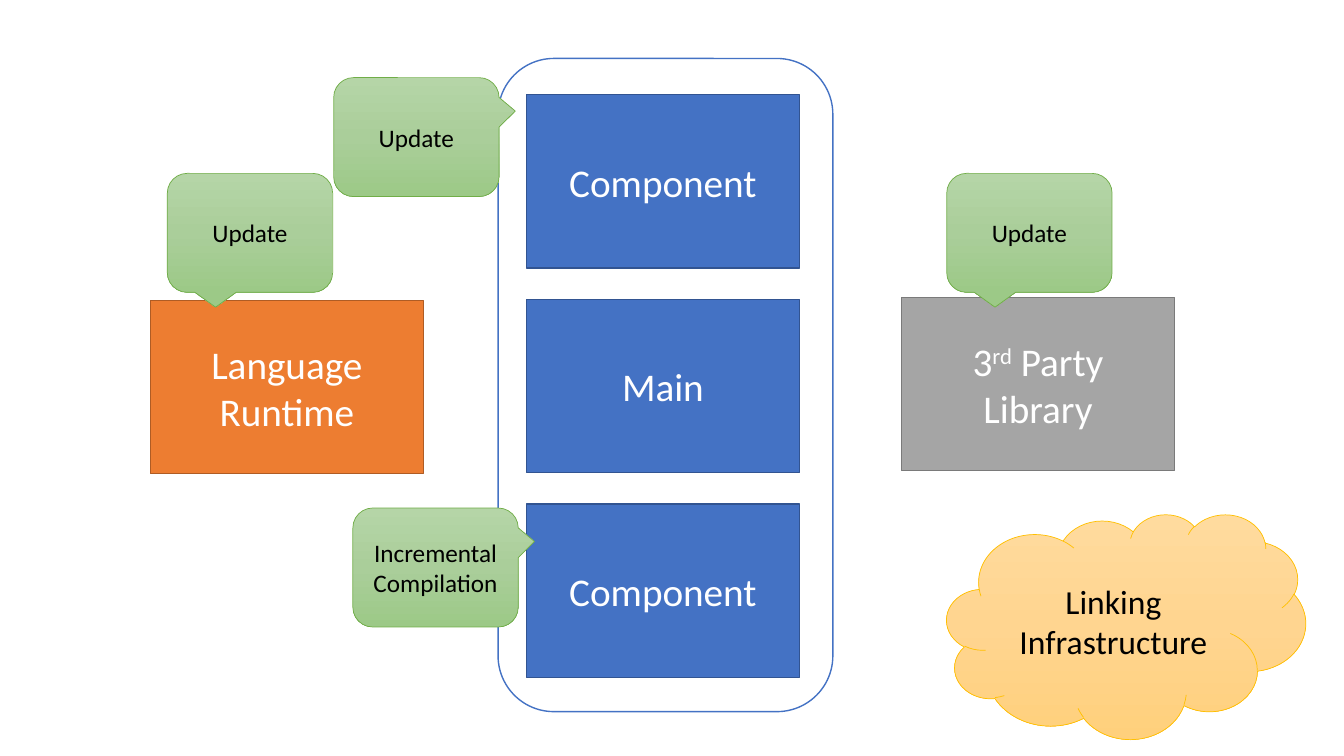
from copy import deepcopy

from pptx import Presentation
from pptx.dml.color import RGBColor
from pptx.enum.shapes import MSO_SHAPE
from pptx.enum.text import MSO_ANCHOR, PP_ALIGN
from pptx.oxml.ns import qn
from pptx.util import Inches, Pt

COLORS = {
    "white": "FFFFFF", "black": "000000",
    "orange": "ED7D31", "orange_edge": "AF5C24",
    "blue": "4472C4", "blue_edge": "325491",
    "gray": "A5A5A5", "gray_edge": "7A7A7A",
    "green_edge": "70AD47", "gold_edge": "FFC000",
}
GREENS = ["B5D5A7", "AACE9A", "9CC987"]
GOLDS = ["FFDB9E", "FFD590", "FFD07C"]
BLOCK_W, BLOCK_H = 2.71, 1.72
CALLOUT_W, CALLOUT_H = 1.64, 1.18
POINT_RIGHT = (0.598, -0.219)
POINT_DOWN = (-0.208, 0.625)


def rgb(name):
    return RGBColor.from_string(COLORS[name])


def add_outlined(slide, kind, box, edge, weight):
    shape = slide.shapes.add_shape(kind, *map(Inches, box))
    shape.shadow.inherit = False
    shape.line.color.rgb = rgb(edge)
    shape.line.width = Pt(weight)
    return shape


def fill_gradient(shape, stops):
    """Spread three colours evenly from top to bottom."""
    shape.fill.gradient()
    shape.fill.gradient_angle = 270
    stop_list = shape._element.spPr.find(qn("a:gradFill")).find(qn("a:gsLst"))
    stop_list.insert(1, deepcopy(stop_list[0]))
    for i, (stop, color) in enumerate(zip(shape.fill.gradient_stops, stops)):
        stop.position = i / 2
        stop.color.rgb = RGBColor.from_string(color)


def write_label(shape, lines, size, color):
    """Each line is a list of (text, is_superscript) runs."""
    frame = shape.text_frame
    frame.word_wrap = True
    frame.vertical_anchor = MSO_ANCHOR.MIDDLE
    for i, line in enumerate(lines):
        paragraph = frame.add_paragraph() if i else frame.paragraphs[0]
        paragraph.alignment = PP_ALIGN.CENTER
        paragraph.font.name = "Calibri"
        paragraph.font.size = Pt(size)
        paragraph.font.color.rgb = rgb(color)
        for text, is_superscript in line:
            run = paragraph.add_run()
            run.text = text
            if is_superscript:
                run._r.get_or_add_rPr().set("baseline", "30000")


def add_block(slide, left, top, lines, color):
    block = add_outlined(slide, MSO_SHAPE.RECTANGLE,
                         (left, top, BLOCK_W, BLOCK_H), color + "_edge", 1)
    block.fill.solid()
    block.fill.fore_color.rgb = rgb(color)
    write_label(block, lines, 28, "white")


def add_callout(slide, left, top, text, pointer):
    callout = add_outlined(slide, MSO_SHAPE.ROUNDED_RECTANGULAR_CALLOUT,
                           (left, top, CALLOUT_W, CALLOUT_H), "green_edge", 0.5)
    callout.adjustments[0], callout.adjustments[1] = pointer
    fill_gradient(callout, GREENS)
    write_label(callout, [[(text, False)]], 18, "black")


def add_dependency(slide, left, top, lines, color, callout_left, callout_top):
    """A block outside the program, with its update callout above."""
    add_block(slide, left, top, lines, color)
    add_callout(slide, callout_left, callout_top, "Update", POINT_DOWN)


def add_program(slide, left, top, width, height):
    """The rounded frame, its stacked parts and their callouts."""
    for i, part in enumerate(["Component", "Main", "Component"]):
        add_block(slide, left + 0.28, top + 0.36 + i * 2.03,
                  [[(part, False)]], "blue")
    frame = add_outlined(slide, MSO_SHAPE.ROUNDED_RECTANGLE,
                         (left, top, width, height), "blue", 1)
    frame.fill.background()
    add_callout(slide, left - 1.63, top + 0.19, "Update", POINT_RIGHT)
    add_callout(slide, left - 1.44, top + 4.46, "Incremental Compilation",
                POINT_RIGHT)


def add_linking_cloud(slide, left, top, width, height):
    cloud = add_outlined(slide, MSO_SHAPE.CLOUD, (left, top, width, height),
                         "gold_edge", 0.5)
    fill_gradient(cloud, GOLDS)
    write_label(cloud, [[("Linking Infrastructure", False)]], 24, "black")


presentation = Presentation()
presentation.slide_width = Inches(13.33)
presentation.slide_height = Inches(7.5)
slide = presentation.slides.add_slide(presentation.slide_layouts[6])

# Language runtime on the left, library on the right
add_dependency(slide, 1.49, 2.98, [[("Language Runtime", False)]], "orange",
               1.66, 1.72)
add_dependency(slide, 8.94, 2.95,
               [[("3", False), ("rd", True), (" Party", False)],
                [("Library", False)]], "gray", 9.39, 1.72)

# Program in the middle
add_program(slide, 4.94, 0.58, 3.32, 6.48)

# Linking infrastructure
add_linking_cloud(slide, 9.39, 5.1, 3.56, 2.23)

presentation.save("out.pptx")
